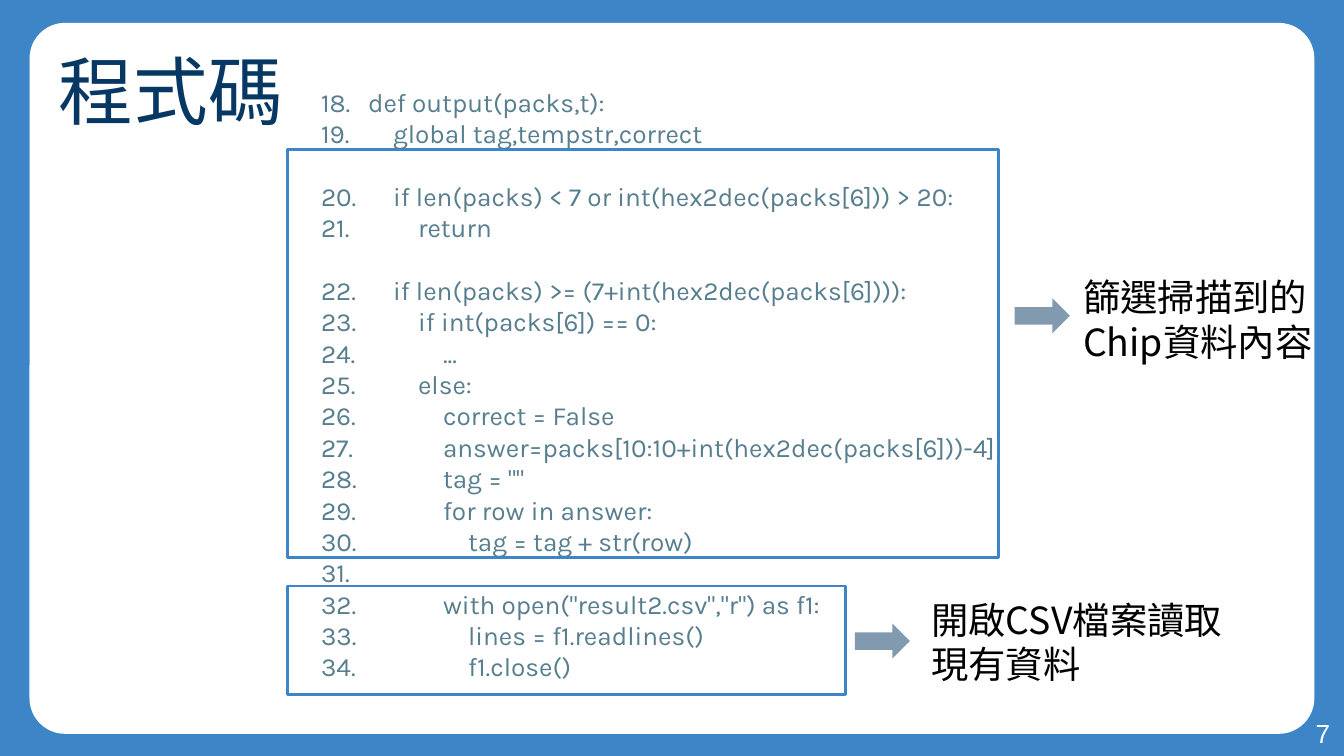
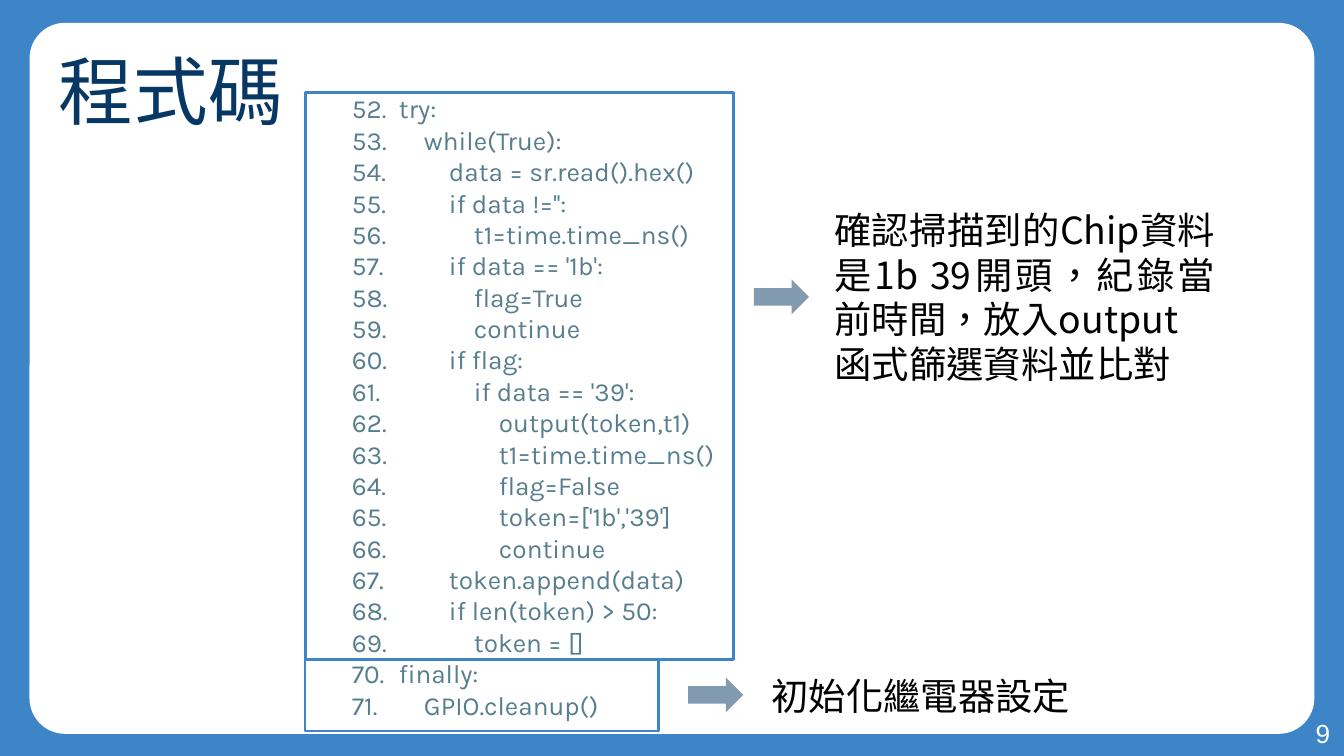
import pptx
import pptx.util
import pptx.dml.color
import pptx.enum.lang
import pptx.enum.shapes
import pptx.enum.text
import pptx.oxml.ns
import lxml.etree

BLUE = pptx.dml.color.RGBColor(0x3D, 0x85, 0xC6)
NAVY = pptx.dml.color.RGBColor(0x07, 0x37, 0x63)
SLATE = pptx.dml.color.RGBColor(0x57, 0x7E, 0x8E)
BLACK = pptx.dml.color.RGBColor(0, 0, 0)
WHITE = pptx.dml.color.RGBColor(0xFF, 0xFF, 0xFF)

HAN, CODE, PLAIN = "Noto Sans CJK TC", "Karla", "Arial"
COLUMNS, ROWS = 100, 56.25
UNIT = pptx.util.Inches(0.1)
TEXT_INDENT, NUMBER_HANG, DEPTH_STEP = 5, 3.5, 1.86
CODE_SIZE, LINE_GAP = 14, 16.8
ARROW_SIZE = (4.1, 2.6)

SHAPES = pptx.enum.shapes.MSO_SHAPE
ALIGN = pptx.enum.text.PP_ALIGN
ANCHOR = pptx.enum.text.MSO_ANCHOR
AUTO_SIZE = pptx.enum.text.MSO_AUTO_SIZE
CHINESE = pptx.enum.lang.MSO_LANGUAGE_ID.TRADITIONAL_CHINESE

OUTPUT_CODE = [
    (0, "def output(packs,t):"),
    (1, "global tag,tempstr,correct"),
    (1, "if len(packs) < 7 or int(hex2dec(packs[6])) > 20:"),
    (2, "return"),
    (1, "if len(packs) >= (7+int(hex2dec(packs[6]))):"),
    (2, "if int(packs[6]) == 0:"),
    (3, "..."),
    (2, "else:"),
    (3, "correct = False"),
    (3, "answer=packs[10:10+int(hex2dec(packs[6]))-4]"),
    (3, 'tag = ""'),
    (3, "for row in answer:"),
    (4, "tag = tag + str(row)"),
    (4, " "),
    (3, 'with open("result2.csv","r") as f1:'),
    (4, "lines = f1.readlines()"),
    (4, "f1.close()"),
]

LOOP_CODE = [
    (0, "try:"),
    (1, "while(True):"),
    (2, "data = sr.read().hex()"),
    (2, "if data !='':"),
    (3, "t1=time.time_ns()"),
    (2, "if data == '1b':"),
    (3, "flag=True"),
    (3, "continue"),
    (2, "if flag:"),
    (3, "if data == '39':"),
    (4, "output(token,t1)"),
    (4, "t1=time.time_ns()"),
    (4, "flag=False"),
    (4, "token=['1b','39']"),
    (4, "continue"),
    (2, "token.append(data)"),
    (2, "if len(token) > 50:"),
    (3, "token = []"),
    (0, "finally:"),
    (1, "GPIO.cleanup()"),
]


def grid(*cells):
    """Turn columns and rows into slide lengths."""
    return [round(cell * UNIT) for cell in cells]


def add_child(parent, tag, **attributes):
    """Append a drawing element with the given attributes."""
    child = lxml.etree.SubElement(parent, pptx.oxml.ns.qn(tag))
    for name, value in attributes.items():
        child.set(name, str(value))
    return child


def write(para, text, font=HAN, size=20, color=BLACK, align=None):
    """Add one formatted span to a paragraph."""
    para.alignment = align
    span = para.add_run()
    span.text = text
    span.font.name = font
    span.font.size = pptx.util.Pt(size)
    span.font.color.rgb = color
    if font == HAN:
        span.font.language_id = CHINESE
    add_child(span._r.get_or_add_rPr(), "a:ea", typeface=font)


def add_box(page, place, margin=1, anchor=ANCHOR.TOP, grow=True):
    """Add an empty wrapping text box and return its frame."""
    frame = page.shapes.add_textbox(*grid(*place)).text_frame
    frame.word_wrap = True
    frame.vertical_anchor = anchor
    frame.auto_size = AUTO_SIZE.SHAPE_TO_FIT_TEXT if grow else AUTO_SIZE.NONE
    frame.margin_left = frame.margin_right = UNIT
    frame.margin_top = frame.margin_bottom = round(margin * UNIT)
    return frame


def add_text(page, place, lines, margin=1, anchor=ANCHOR.TOP, grow=True, **style):
    """Add a text box with one paragraph for each line."""
    frame = add_box(page, place, margin, anchor, grow)
    for index, line in enumerate(lines):
        para = frame.add_paragraph() if index else frame.paragraphs[0]
        write(para, line, **style)


def add_shape(page, kind, place, fill=None, line=None):
    """Add a flat preset shape."""
    shape = page.shapes.add_shape(kind, *grid(*place))
    shape.shadow.inherit = False
    if fill is None:
        shape.fill.background()
    else:
        shape.fill.solid()
        shape.fill.fore_color.rgb = fill
    if line is None:
        shape.line.fill.background()
    else:
        shape.line.color.rgb = line
        shape.line.width = pptx.util.Pt(1.5)
    return shape


def number_line(para, depth, start):
    """Number a code line and indent its text by depth."""
    shift = depth * DEPTH_STEP
    properties = para._p.get_or_add_pPr()
    left, hang = grid(TEXT_INDENT + shift, NUMBER_HANG + shift)
    properties.set("marL", str(left))
    properties.set("indent", str(-hang))
    add_child(add_child(properties, "a:buClr"), "a:srgbClr", val=SLATE)
    add_child(properties, "a:buFont", typeface=CODE)
    add_child(properties, "a:buAutoNum", type="arabicPeriod", startAt=start)


def add_code(page, place, lines, start, spaced=()):
    """Add a numbered listing, with a gap above the spaced numbers."""
    frame = add_box(page, place)
    for index, (depth, text) in enumerate(lines):
        para = frame.add_paragraph() if index else frame.paragraphs[0]
        if start + index in spaced:
            para.space_before = pptx.util.Pt(LINE_GAP)
        number_line(para, depth, start)
        write(para, text, font=CODE, size=CODE_SIZE, color=SLATE)


def add_callout(page, frame, arrow, note, lines, align=None):
    """Frame some code and point from it to a note."""
    add_shape(page, SHAPES.RECTANGLE, frame, line=BLUE)
    pointer = add_shape(page, SHAPES.RIGHT_ARROW, (*arrow, *ARROW_SIZE), fill=NAVY)
    tint = pointer._element.spPr.find(".//" + pptx.oxml.ns.qn("a:srgbClr"))
    add_child(tint, "a:alpha", val=50000)
    add_text(page, note, lines, align=align)


def add_page(deck, number):
    """Add a page with the blue surround, white panel, title and number."""
    page = deck.slides.add_slide(deck.slide_layouts[6])
    page.background.fill.solid()
    page.background.fill.fore_color.rgb = BLUE
    panel = add_shape(page, SHAPES.ROUNDED_RECTANGLE, (2.2, 1.7, 95.6, 52.9), fill=WHITE)
    panel.adjustments[0] = 0.05
    add_text(page, (3.4, 3.5, 22, 7.5), ["程式碼"], anchor=ANCHOR.BOTTOM,
             grow=False, size=40, color=NAVY)
    add_text(page, (96.9, 52.9, 3.1, 3.4), [str(number)], margin=0.5,
             font=PLAIN, size=14, color=WHITE)
    return page


def main():
    """Build both code pages and save the deck."""
    deck = pptx.Presentation()
    deck.slide_width, deck.slide_height = grid(COLUMNS, ROWS)

    page = add_page(deck, 7)
    add_code(page, (21.4, 5.4, 55.5, 46.8), OUTPUT_CODE, start=18, spaced=(20, 22))
    add_callout(page, (21.4, 11.1, 52.9, 30.4), (75.5, 22.2), (79.6, 19.4, 29.1, 8.8),
                ["篩選掃描到的", "Chip資料內容"])
    add_callout(page, (21.4, 43.6, 41.5, 8.1), (63.6, 46.4), (68.3, 43.4, 29.1, 8.8),
                ["開啟CSV檔案讀取", "現有資料"])

    page = add_page(deck, 9)
    add_code(page, (23.7, 5.9, 62.8, 49.2), LOOP_CODE, start=52)
    add_callout(page, (22.7, 6.9, 31.9, 42.2), (56.1, 20.8), (61.1, 14.4, 30.3, 15.5),
                ["確認掃描到的Chip資料是1b 39開頭，紀錄當前時間，放入output",
                 "函式篩選資料並比對"], align=ALIGN.JUSTIFY)
    add_callout(page, (22.7, 49.1, 26.3, 5.3), (51.2, 50.4), (56.4, 49.1, 29.1, 5.4),
                ["初始化繼電器設定"])

    deck.save("out.pptx")


if __name__ == "__main__":
    main()
